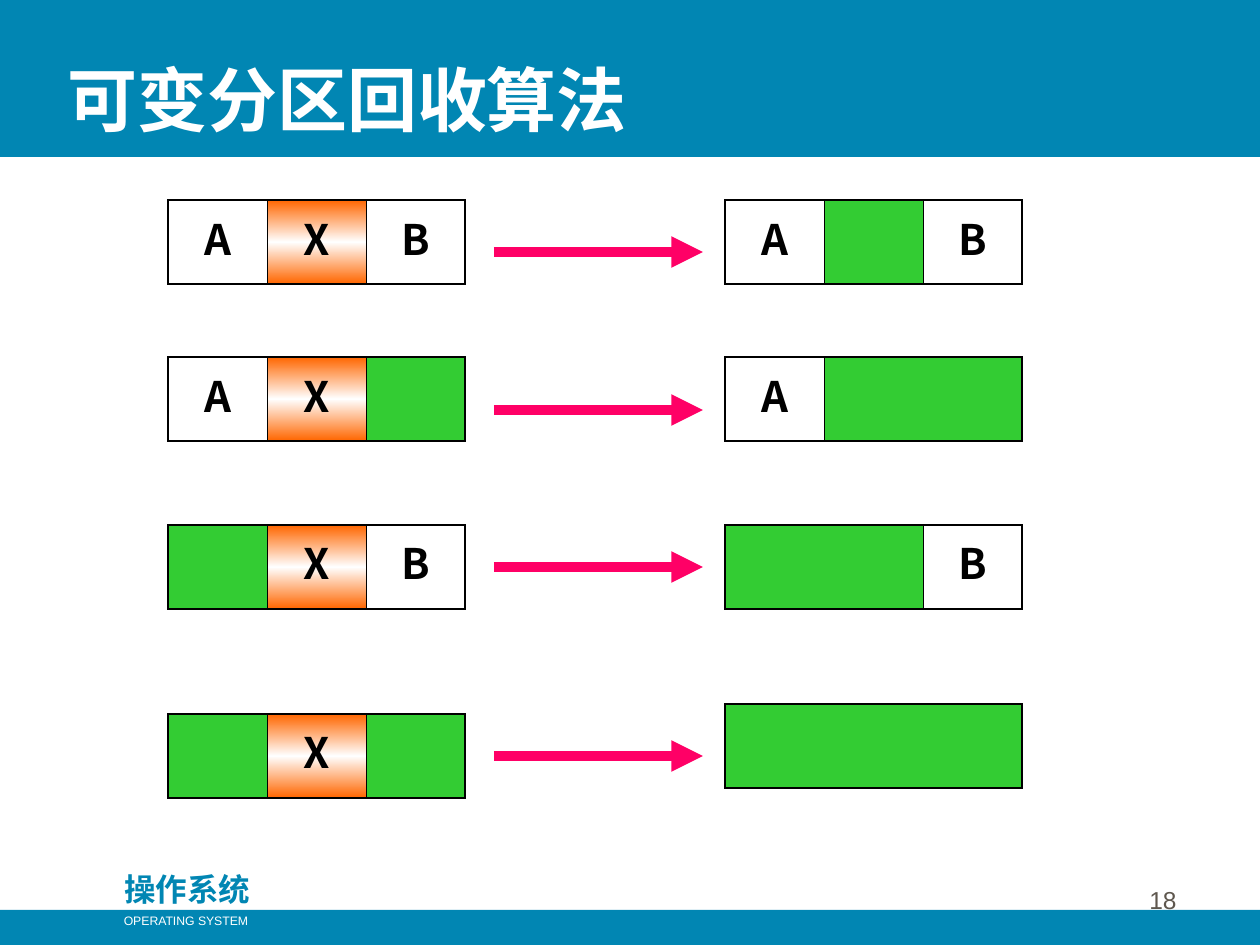
from itertools import groupby

from lxml import etree
from pptx import Presentation
from pptx.dml.color import RGBColor as Rgb
from pptx.enum.shapes import MSO_CONNECTOR as Link, MSO_SHAPE as Shape
from pptx.enum.text import MSO_ANCHOR as Anchor, PP_ALIGN as Align
from pptx.oxml.ns import qn
from pptx.util import Pt

PX = 914400 / 126
COLORS = {
    "blue": "0186B3", "white": "FFFFFF", "black": "000000", "gray": "5E574E",
    "green": "33CC33", "orange": "FF6600", "pink": "FF0066",
}
HAN = "Noto Sans CJK SC"
UNIT, HIGH = 99, 84


def px(n):
    return round(n * PX)


def rgb(name):
    return Rgb.from_string(COLORS[name])


def add(parent, tag, **attrs):
    return etree.SubElement(parent, qn(tag), attrs)


class Board:
    def __init__(self, slide, font):
        self.slide, self.font = slide, font

    def style(self, para, size, color, bold, align, font=None):
        face = para.font
        face.name, face.size, face.bold = font or self.font, Pt(size), bold
        face.color.rgb = rgb(color)
        para.alignment = align
        props = para._p.pPr.find(qn("a:defRPr"))
        add(props, "a:ea", typeface=font or self.font)

    def bar(self, top, high):
        shape = self.slide.shapes.add_shape(
            Shape.RECTANGLE, 0, px(top), px(1260), px(high))
        shape.shadow.inherit = False
        shape.fill.solid()
        shape.fill.fore_color.rgb = rgb("blue")
        shape.line.fill.background()

    def text(self, box, words, size, color, bold=False, align=Align.CENTER,
             anchor=Anchor.TOP, wrap=True, font=None):
        frame = self.slide.shapes.add_textbox(*map(px, box)).text_frame
        frame.word_wrap, frame.vertical_anchor = wrap, anchor
        para = frame.paragraphs[0]
        para.text = words
        self.style(para, size, color, bold, align, font)

    def edges(self, cell, first, last):
        props = cell._tc.get_or_add_tcPr()
        for side in "LRTB":
            thin = side == "L" and not first or side == "R" and not last
            line = add(props, f"a:ln{side}", w=str(Pt(0.45 if thin else 1.08)))
            fill = add(line, "a:solidFill")
            add(fill, "a:srgbClr", val=COLORS["black"])

    def blend(self, cell):
        grad = add(cell._tc.get_or_add_tcPr(), "a:gradFill")
        stops = add(grad, "a:gsLst")
        for pos, name in ((0, "orange"), (50, "white"), (100, "orange")):
            stop = add(stops, "a:gs", pos=str(pos * 1000))
            add(stop, "a:srgbClr", val=COLORS[name])
        add(grad, "a:lin", ang="5400000", scaled="0")

    def strip(self, left, top, code):
        parts = [(key, len(list(run))) for key, run in groupby(code)]
        table = self.slide.shapes.add_table(
            1, len(parts), px(left), px(top),
            px(UNIT * len(code)), px(HIGH)).table
        table.first_row = table.horz_banding = False
        for i, (key, span) in enumerate(parts):
            table.columns[i].width = px(UNIT * span)
            cell = table.cell(0, i)
            self.edges(cell, i == 0, i == len(parts) - 1)
            if key == "X":
                self.blend(cell)
            else:
                cell.fill.solid()
                cell.fill.fore_color.rgb = rgb("green" if key == "-" else "white")
            if key != "-":
                para = cell.text_frame.paragraphs[0]
                para.text = key
                self.style(para, 24, "black", True, Align.CENTER)

    def arrow(self, left, right, y):
        line = self.slide.shapes.add_connector(
            Link.STRAIGHT, px(left), px(y), px(right), px(y))
        line.line.width = Pt(6)
        line.line.color.rgb = rgb("pink")
        add(line.line._get_or_add_ln(), "a:tailEnd", type="triangle")
        add(line._element.spPr, "a:effectLst")


def main():
    deck = Presentation()
    deck.slide_width, deck.slide_height = px(1260), px(945)
    board = Board(deck.slides.add_slide(deck.slide_layouts[6]), HAN)
    board.bar(0, 157)
    board.bar(910, 35)
    board.text((105, 864, 165, 50), "操作系统", 18, "blue", True)
    board.text((111, 907, 150, 28), "OPERATING SYSTEM", 7, "white",
               wrap=False, font="Arial")
    board.text((55, 21, 1130, 126), "可变分区回收算法", 40, "white", True,
               Align.LEFT, Anchor.BOTTOM)
    board.text((927, 858, 262, 63), "18", 14, "gray", align=Align.RIGHT,
               anchor=Anchor.BOTTOM, font="Arial")
    cases = (
        ("AXB", 200, "A-B", 200, 252),
        ("AX-", 357, "A--", 357, 410),
        ("-XB", 525, "--B", 525, 567),
        ("-X-", 714, "---", 704, 756),
    )
    for old, top, new, peak, y in cases:
        board.strip(168, top, old)
        board.strip(725, peak, new)
        board.arrow(494, 703, y)
    deck.save("out.pptx")


if __name__ == "__main__":
    main()
